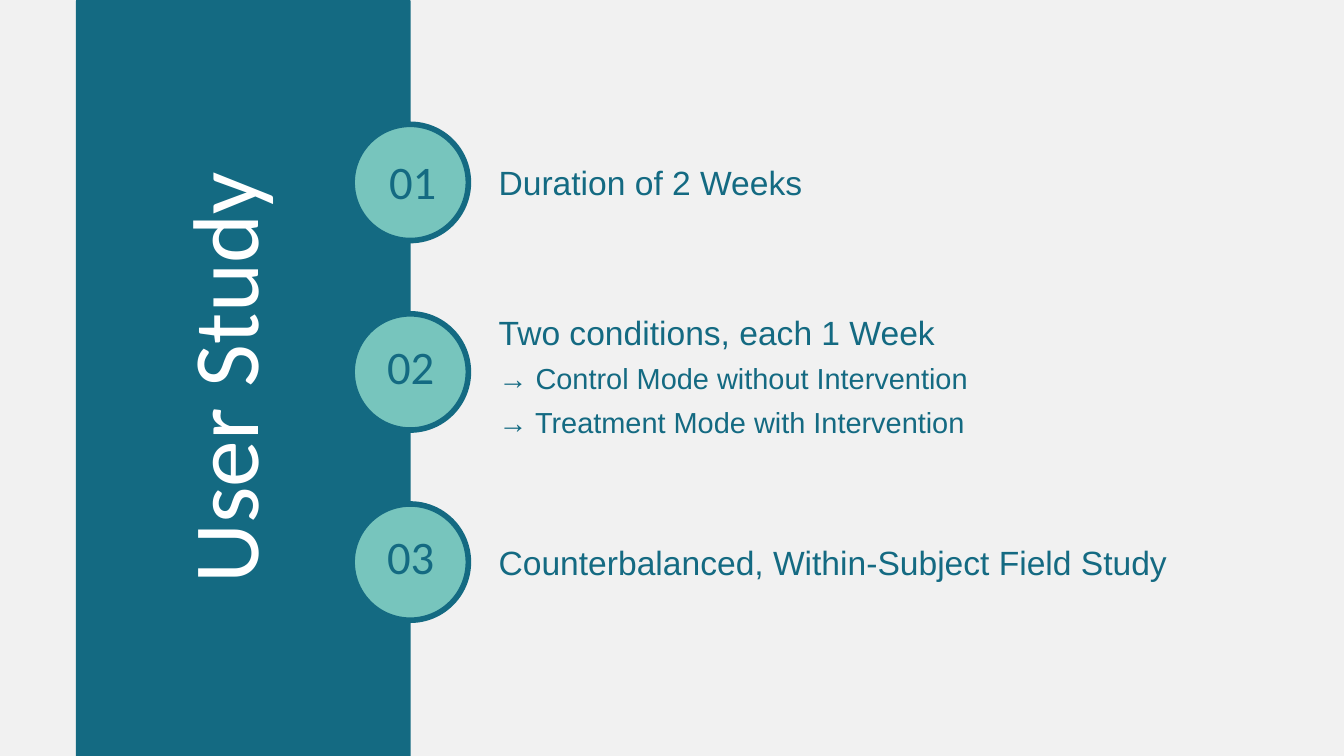
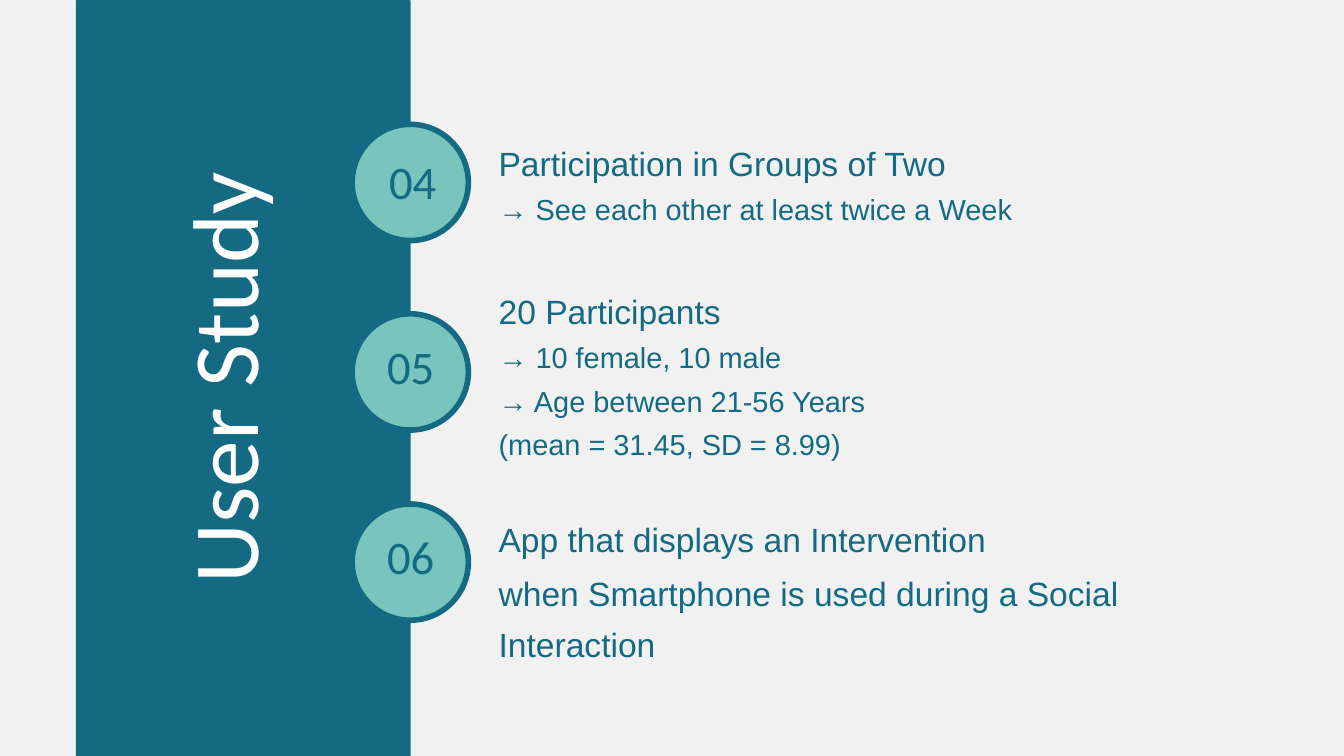
from dataclasses import dataclass
from typing import NamedTuple

from pptx import Presentation
from pptx.dml.color import RGBColor
from pptx.enum.shapes import MSO_SHAPE
from pptx.enum.text import MSO_AUTO_SIZE, PP_ALIGN
from pptx.shapes.group import GroupShape
from pptx.slide import Slide
from pptx.util import Pt

ROUNDED = MSO_SHAPE.ROUNDED_RECTANGLE
OVAL = MSO_SHAPE.OVAL
GROW = MSO_AUTO_SIZE.SHAPE_TO_FIT_TEXT
LEFT = PP_ALIGN.LEFT
CENTER = PP_ALIGN.CENTER

EMU_PER_PX = 9144
BLANK_LAYOUT = 6


class Box(NamedTuple):
    left: int
    top: int
    width: int
    height: int

    def emu(self) -> list[int]:
        return [length * EMU_PER_PX for length in self]


@dataclass(frozen=True)
class TextStyle:
    font: str
    size: float
    line: float
    color: RGBColor
    before: float = 0
    align: PP_ALIGN = LEFT


@dataclass(frozen=True)
class Theme:
    paper: RGBColor = RGBColor(0xF1, 0xF1, 0xF1)
    teal: RGBColor = RGBColor(0x14, 0x6A, 0x82)
    mint: RGBColor = RGBColor(0x77, 0xC5, 0xBD)
    white: RGBColor = RGBColor(0xFF, 0xFF, 0xFF)
    heading_font: str = "Calibri"
    body_font: str = "Arial"
    ring_width: float = 6

    def title(self) -> TextStyle:
        return TextStyle(self.heading_font, 100, 100, self.white, align=CENTER)

    def number(self) -> TextStyle:
        return TextStyle(self.heading_font, 50, 70, self.teal)

    def body(self, size: float, line: float, before: float = 0) -> TextStyle:
        return TextStyle(self.body_font, size, line, self.teal, before)


THEME = Theme()
SINGLE = THEME.body(36, 43.2)
LEAD = THEME.body(36, 54)
SPACED = THEME.body(36, 54, before=4.2)
DETAIL = THEME.body(31, 46.5)


class Line(NamedTuple):
    text: str
    style: TextStyle


@dataclass(frozen=True)
class Item:
    top: int
    height: int
    lines: list[Line]


TITLE = "User Study"
PAGE_WIDTH, PAGE_HEIGHT = 2000, 1125
BAND = Box(113, -32, 498, 1190)
BAND_ROUNDING = 0.07
TITLE_BOX = Box(-107, 493, 900, 139)
CIRCLE_LEFT, FIRST_CIRCLE_TOP, CIRCLE_SIZE = 524, 185, 173
CIRCLE_PITCH = 282.5
FIRST_NUMBER_OFFSET, NUMBER_OFFSET = (55, 28), (52, 22)
NUMBER_WIDTH, NUMBER_HEIGHT = 105, 97
BODY_LEFT, BODY_WIDTH = 742, 1146

PAGES = [
    [
        Item(241, 60, [Line("Duration of 2 Weeks", SINGLE)]),
        Item(449, 204, [
            Line("Two conditions, each 1 Week", LEAD),
            Line("→ Control Mode without Intervention", DETAIL),
            Line("→ Treatment Mode with Intervention", DETAIL),
        ]),
        Item(807, 60, [Line("Counterbalanced, Within-Subject Field Study", SINGLE)]),
    ],
    [
        Item(197, 140, [
            Line("Participation in Groups of Two", LEAD),
            Line("→ See each other at least twice a Week", DETAIL),
        ]),
        Item(418, 269, [
            Line("20 Participants", LEAD),
            Line("→ 10 female, 10 male", DETAIL),
            Line("→ Age between 21-56 Years", DETAIL),
            Line("(mean = 31.45, SD = 8.99)", DETAIL),
        ]),
        Item(757, 156, [
            Line("App that displays an Intervention", SPACED),
            Line("when Smartphone is used during a Social Interaction", SPACED),
        ]),
    ],
]


def add_text(parent: Slide | GroupShape, box: Box, lines: list[Line], rotation: int = 0) -> None:
    text_box = parent.shapes.add_textbox(*box.emu())
    text_box.rotation = rotation
    frame = text_box.text_frame
    frame.margin_left = frame.margin_top = frame.margin_right = frame.margin_bottom = 0
    frame.word_wrap = True
    frame.auto_size = GROW
    for index, (text, style) in enumerate(lines):
        para = frame.add_paragraph() if index else frame.paragraphs[0]
        para.text = text
        para.alignment = style.align
        para.line_spacing = Pt(style.line)
        para.space_before = Pt(style.before)
        para.font.name = style.font
        para.font.size = Pt(style.size)
        para.font.color.rgb = style.color


def add_band(page: Slide) -> None:
    band = page.shapes.add_shape(ROUNDED, *BAND.emu())
    band.adjustments[0] = BAND_ROUNDING
    band.shadow.inherit = False
    band.fill.solid()
    band.fill.fore_color.rgb = THEME.teal
    band.line.fill.background()
    add_text(page, TITLE_BOX, [Line(TITLE, THEME.title())], rotation=270)


def add_circle(group: GroupShape, top: int) -> None:
    circle = group.shapes.add_shape(OVAL, *Box(CIRCLE_LEFT, top, CIRCLE_SIZE, CIRCLE_SIZE).emu())
    circle.shadow.inherit = False
    circle.fill.solid()
    circle.fill.fore_color.rgb = THEME.mint
    circle.line.color.rgb = THEME.teal
    circle.line.width = Pt(THEME.ring_width)


def add_item(page: Slide, item: Item, row: int, number: int) -> None:
    group = page.shapes.add_group_shape()
    circle_top = int(FIRST_CIRCLE_TOP + row * CIRCLE_PITCH)
    shift_x, shift_y = NUMBER_OFFSET if row else FIRST_NUMBER_OFFSET
    number_box = Box(CIRCLE_LEFT + shift_x, circle_top + shift_y, NUMBER_WIDTH, NUMBER_HEIGHT)
    add_text(group, Box(BODY_LEFT, item.top, BODY_WIDTH, item.height), item.lines)
    add_circle(group, circle_top)
    add_text(group, number_box, [Line(f"{number:02d}", THEME.number())])


def main() -> None:
    deck = Presentation()
    deck.slide_width = PAGE_WIDTH * EMU_PER_PX
    deck.slide_height = PAGE_HEIGHT * EMU_PER_PX
    number = 0
    for items in PAGES:
        page = deck.slides.add_slide(deck.slide_layouts[BLANK_LAYOUT])
        page.background.fill.solid()
        page.background.fill.fore_color.rgb = THEME.paper
        add_band(page)
        for row, item in enumerate(items):
            number += 1
            add_item(page, item, row, number)
    deck.save("out.pptx")


if __name__ == "__main__":
    main()
